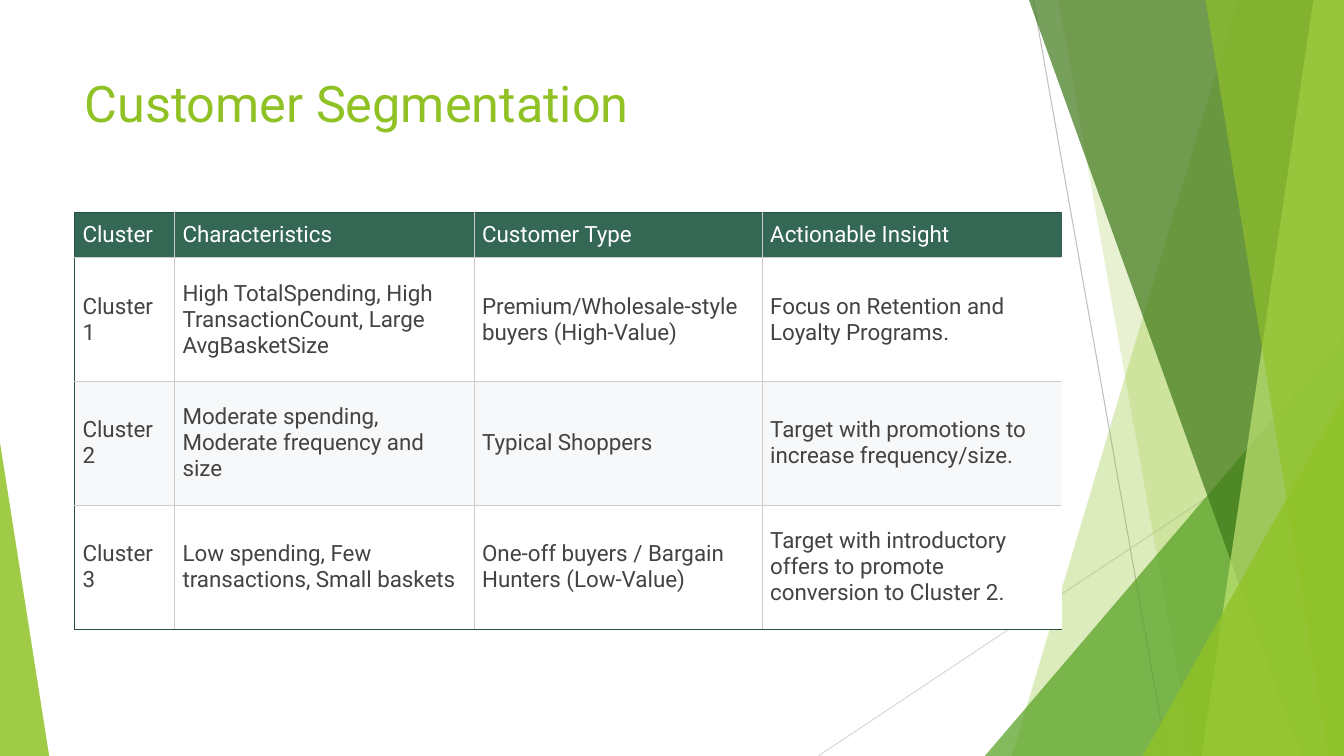
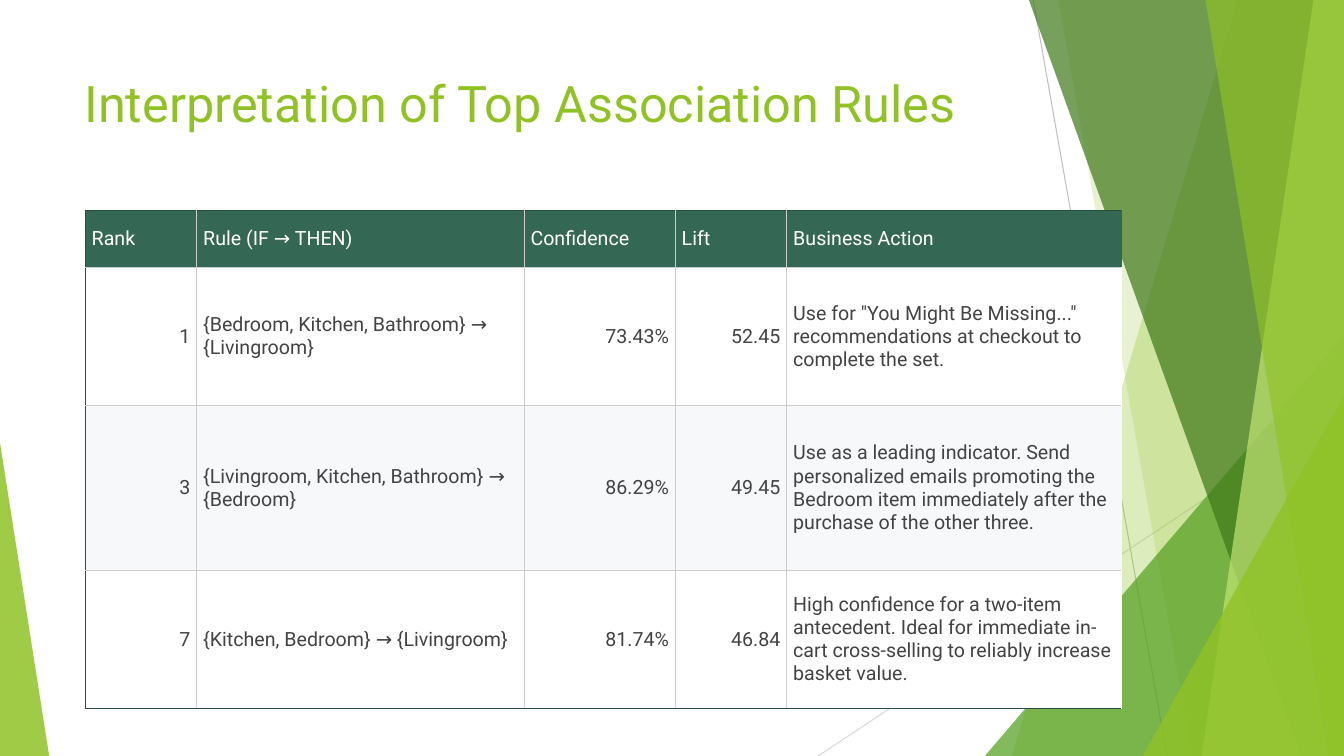
from lxml.etree import SubElement
from pptx import Presentation
from pptx.dml.color import RGBColor
from pptx.enum.shapes import MSO_CONNECTOR, MSO_SHAPE
from pptx.enum.text import MSO_ANCHOR, PP_ALIGN
from pptx.oxml import parse_xml
from pptx.oxml.ns import nsdecls, qn
from pptx.util import Cm, Pt

WIDTH, HEIGHT = 33.87, 19.05
FONT = "Roboto"

LIME = RGBColor(0x90, 0xC2, 0x26)
PALE_LIME = RGBColor(0xC0, 0xE4, 0x74)
GREEN = RGBColor(0x54, 0xA0, 0x21)
DARK_GREEN = RGBColor(0x3F, 0x78, 0x19)
HEADER = RGBColor(0x35, 0x68, 0x54)
EDGE = RGBColor(0x28, 0x4E, 0x3F)
GRID = RGBColor(0xCC, 0xCC, 0xCC)
GREY = RGBColor(0xBF, 0xBF, 0xBF)
LIGHT_GREY = RGBColor(0xD9, 0xD9, 0xD9)
STRIPE = RGBColor(0xF6, 0xF8, 0xF9)
WHITE = RGBColor(0xFF, 0xFF, 0xFF)
TEXT = RGBColor(0x43, 0x43, 0x43)

# Bands reach from a slanted left side to the right edge: top x, bottom x, colour, opacity
BACK_BANDS = [(31.19, 25.5, LIME, 30), (26.67, 30.05, LIME, 20)]
FRONT_BANDS = [
    (25.93, 32.79, DARK_GREEN, 70),
    (33.1, 30.28, PALE_LIME, 70),
    (30.38, 33.48, LIME, 65),
]

SEGMENTS = [
    ["Cluster", "Characteristics", "Customer Type", "Actionable Insight"],
    ["Cluster 1", "High TotalSpending, High TransactionCount, Large AvgBasketSize",
     "Premium/Wholesale-style buyers (High-Value)",
     "Focus on Retention and Loyalty Programs."],
    ["Cluster 2", "Moderate spending, Moderate frequency and size",
     "Typical Shoppers", "Target with promotions to increase frequency/size."],
    ["Cluster 3", "Low spending, Few transactions, Small baskets",
     "One-off buyers / Bargain Hunters (Low-Value)",
     "Target with introductory offers to promote conversion to Cluster 2."],
]
RULES = [
    ["Rank", "Rule (IF → THEN)", "Confidence", "Lift", "Business Action"],
    ["1", "{Bedroom, Kitchen, Bathroom} → {Livingroom}", "73.43%", "52.45",
     'Use for "You Might Be Missing..." recommendations at checkout to '
     "complete the set."],
    ["3", "{Livingroom, Kitchen, Bathroom} → {Bedroom}", "86.29%", "49.45",
     "Use as a leading indicator. Send personalized emails promoting the "
     "Bedroom item immediately after the purchase of the other three."],
    ["7", "{Kitchen, Bedroom} → {Livingroom}", "81.74%", "46.84",
     "High confidence for a two-item antecedent. Ideal for immediate in-cart "
     "cross-selling to reliably increase basket value."],
]


def set_format(obj, values):
    for name, value in values.items():
        setattr(obj, name, value)


def write(p, text, size, color):
    r = p.add_run()
    r.text = text
    set_format(r.font, {"name": FONT, "size": Pt(size)})
    r.font.color.rgb = color


def paint(sp, color, opacity):
    """Fill a shape with a see-through colour, without line or shadow."""
    sp.shadow.inherit = False
    sp.line.fill.background()
    sp.fill.solid()
    sp.fill.fore_color.rgb = color
    clr = sp.element.spPr.find(qn("a:solidFill")).find(qn("a:srgbClr"))
    SubElement(clr, qn("a:alpha"), val=str(opacity * 1000))


def add_hairline(s, x1, y1, x2, y2, color):
    line = s.shapes.add_connector(
        MSO_CONNECTOR.STRAIGHT, Cm(x1), Cm(y1), Cm(x2), Cm(y2))
    line.line.width = Pt(0.75)
    line.line.color.rgb = color
    SubElement(line.element.spPr, qn("a:effectLst"))


def add_band(s, box, top_x, bottom_x, color, opacity):
    x, y, w, h = box
    builder = s.shapes.build_freeform(Cm(x + top_x), Cm(y))
    corners = [(x + w, y), (x + w, y + h), (x + bottom_x, y + h)]
    builder.add_line_segments([(Cm(cx), Cm(cy)) for cx, cy in corners])
    paint(builder.convert_to_shape(), color, opacity)


def add_corner(s, left, top, right, bottom, apex, color, opacity):
    """Add a right triangle; apex 0 puts its tip at the left, 1 at the right."""
    sp = s.shapes.add_shape(MSO_SHAPE.ISOSCELES_TRIANGLE, Cm(left), Cm(top),
                            Cm(right - left), Cm(bottom - top))
    sp.adjustments[0] = apex
    paint(sp, color, opacity)


def add_backdrop(s, box):
    x, y, w, h = box
    right, bottom = x + w, y + h
    add_hairline(s, x + 26.04, y, x + 29.41, bottom, GREY)
    add_hairline(s, right, y + 10.24, x + 20.62, bottom, LIGHT_GREY)
    for band in BACK_BANDS:
        add_band(s, box, *band)
    add_corner(s, x + 24.82, y + 8.46, right, bottom, 1, GREEN, 72)
    for band in FRONT_BANDS:
        add_band(s, box, *band)
    add_corner(s, x + 28.8, y + 9.98, right, bottom, 1, LIME, 80)
    add_corner(s, x, y + 11.15, x + 1.24, bottom, 0, LIME, 85)


def add_title(s, box, text):
    tf = s.shapes.add_textbox(*map(Cm, box)).text_frame
    set_format(tf, {"word_wrap": True, "vertical_anchor": MSO_ANCHOR.TOP})
    write(tf.paragraphs[0], text, 36, LIME)


def set_borders(cell, colors):
    """Draw the left, right, top and bottom borders, in that order."""
    tcPr = cell._tc.get_or_add_tcPr()
    for i, (side, color) in enumerate(zip("LRTB", colors)):
        tcPr.insert(i, parse_xml(
            f'<a:ln{side} {nsdecls("a")} w="9525"><a:solidFill>'
            f'<a:srgbClr val="{color}"/></a:solidFill></a:ln{side}>'))


def add_data_table(s, origin, widths, heights, rows, size, inset, right_cols=()):
    box = (*origin, sum(widths), sum(heights))
    table = s.shapes.add_table(len(rows), len(widths), *map(Cm, box)).table
    set_format(table, {"first_row": False, "horz_banding": False})
    for col, width in zip(table.columns, widths):
        col.width = Cm(width)
    for row, height in zip(table.rows, heights):
        row.height = Cm(height)

    last_row, last_col = len(rows) - 1, len(widths) - 1
    margins = {
        "margin_left": Cm(inset), "margin_right": Cm(inset),
        "margin_top": Cm(0.05), "margin_bottom": Cm(0.05),
        "vertical_anchor": MSO_ANCHOR.MIDDLE,
    }
    for i, row in enumerate(rows):
        fill = HEADER if i == 0 else WHITE if i % 2 else STRIPE
        for j, text in enumerate(row):
            cell = table.cell(i, j)
            set_format(cell, margins)
            cell.fill.solid()
            cell.fill.fore_color.rgb = fill
            set_borders(cell, [EDGE if j == 0 else GRID,
                               fill if j == last_col else GRID,
                               EDGE if i == 0 else GRID,
                               EDGE if i == last_row else GRID])
            p = cell.text_frame.paragraphs[0]
            if i and j in right_cols:
                p.alignment = PP_ALIGN.RIGHT
            write(p, text, size, TEXT if i else WHITE)


def add_table_slide(prs, title, **table):
    s = prs.slides.add_slide(prs.slide_layouts[6])
    add_backdrop(s, (0, 0, WIDTH, HEIGHT))
    add_title(s, (1.88, 1.7, 23.88, 3.66), title)
    add_data_table(s, **table)


def main():
    prs = Presentation()
    set_format(prs, {"slide_width": Cm(WIDTH), "slide_height": Cm(HEIGHT)})
    add_table_slide(
        prs, "Customer Segmentation", rows=SEGMENTS, origin=(1.88, 5.35),
        widths=[2.52, 7.55, 7.26, 7.55], heights=[1.14, 3.12, 3.12, 3.12],
        size=16, inset=0.2)
    add_table_slide(
        prs, "Interpretation of Top Association Rules", rows=RULES,
        origin=(2.15, 5.3), widths=[2.81, 8.25, 3.81, 2.81, 8.42],
        heights=[1.44, 3.48, 4.15, 3.48], size=14, inset=0.16,
        right_cols=(0, 2, 3))
    prs.save("out.pptx")


if __name__ == "__main__":
    main()
